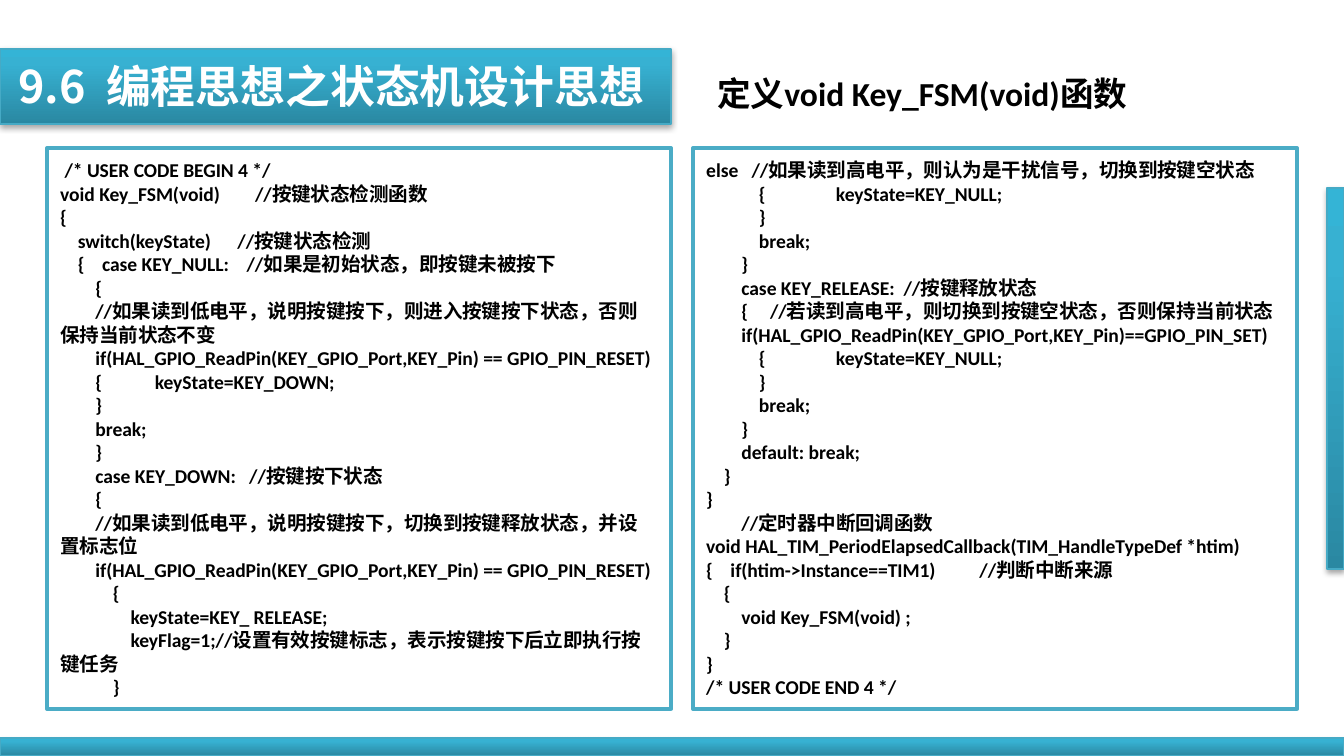
"""Builds the slide on state machine programming: two code panels under a title."""
from copy import deepcopy

from lxml.etree import SubElement
from pptx import Presentation
from pptx.dml.color import RGBColor
from pptx.enum.shapes import MSO_SHAPE
from pptx.enum.text import MSO_ANCHOR, PP_ALIGN
from pptx.oxml.ns import qn
from pptx.util import Emu, Pt

TITLE = "9.6  编程思想之状态机设计思想"
HEADING = "定义void Key_FSM(void)函数"
KEY_CODE = """ /* USER CODE BEGIN 4 */
void Key_FSM(void)        //按键状态检测函数
{
    switch(keyState)      //按键状态检测
    {    case KEY_NULL:    //如果是初始状态，即按键未被按下
        {
        //如果读到低电平，说明按键按下，则进入按键按下状态，否则保持当前状态不变
        if(HAL_GPIO_ReadPin(KEY_GPIO_Port,KEY_Pin) == GPIO_PIN_RESET)
        {            keyState=KEY_DOWN;
        }
        break;
        }
        case KEY_DOWN:   //按键按下状态
        {
        //如果读到低电平，说明按键按下，切换到按键释放状态，并设置标志位
        if(HAL_GPIO_ReadPin(KEY_GPIO_Port,KEY_Pin) == GPIO_PIN_RESET)
            {
                keyState=KEY_ RELEASE;
                keyFlag=1;//设置有效按键标志，表示按键按下后立即执行按键任务
            }"""
RELEASE_CODE = """else   //如果读到高电平，则认为是干扰信号，切换到按键空状态
            {                keyState=KEY_NULL;
            }
            break;
        }
        case KEY_RELEASE:  //按键释放状态
        {     //若读到高电平，则切换到按键空状态，否则保持当前状态
        if(HAL_GPIO_ReadPin(KEY_GPIO_Port,KEY_Pin)==GPIO_PIN_SET)
            {                keyState=KEY_NULL;
            }
            break;
        }
        default: break;
    }
}
        //定时器中断回调函数
void HAL_TIM_PeriodElapsedCallback(TIM_HandleTypeDef *htim)
{    if(htim->Instance==TIM1)\t //判断中断来源
    {
        void Key_FSM(void) ;
    }
}
/* USER CODE END 4 */"""

BARS = [(0, 738, 1344, 18), (1327, 188, 17, 381), (0, 49, 671, 75)]
PANELS = [(KEY_CODE, (47, 148, 624, 561)), (RELEASE_CODE, (693, 148, 604, 561))]
TITLE_BOX = (5, 52, 665, 67)
HEADING_BOX = (704, 56, 484, 60)

BLACK = RGBColor(0x00, 0x00, 0x00)
WHITE = RGBColor(0xFF, 0xFF, 0xFF)
PANEL_EDGE = RGBColor(0x4B, 0xAC, 0xC6)
BAR_EDGE = RGBColor(0x46, 0xAA, 0xC5)
BAR_STOPS = [
    (0, RGBColor(0x2A, 0x88, 0xA2)),
    (0.8, RGBColor(0x37, 0xB1, 0xD2)),
    (1, RGBColor(0x34, 0xB4, 0xD6)),
]
LATIN, CHINESE = "Calibri", "Noto Sans CJK SC"
PX = 914400 / 134.4


def place(box):
    return [Emu(round(length * PX)) for length in box]


def add_bar(slide, box):
    bar = slide.shapes.add_shape(MSO_SHAPE.RECTANGLE, *place(box))
    bar.fill.gradient()
    bar.fill.gradient_angle = 90
    stop_list = bar._element.spPr.find(".//" + qn("a:gsLst"))
    stop_list.append(deepcopy(stop_list[0]))
    for stop, (position, color) in zip(bar.fill.gradient_stops, BAR_STOPS):
        stop.position = position
        stop.color.rgb = color
    bar.line.color.rgb = BAR_EDGE
    bar.line.width = Pt(0.75)
    bar.shadow.inherit = False
    effects = bar._element.spPr.find(qn("a:effectLst"))
    shadow = SubElement(effects, qn("a:outerShdw"), blurRad="40000", dist="23000",
                        dir="5400000", rotWithShape="0")
    shade = SubElement(shadow, qn("a:srgbClr"), val="000000")
    SubElement(shade, qn("a:alpha"), val="35000")


def write(shape, text, size, font_name, color, anchor, wrap=True):
    frame = shape.text_frame
    frame.text = text
    frame.word_wrap = wrap
    frame.vertical_anchor = anchor
    for paragraph in frame.paragraphs:
        paragraph.alignment = PP_ALIGN.LEFT
        font = paragraph.font
        font.size, font.name, font.bold = Pt(size), font_name, True
        font.color.rgb = color
        for run in paragraph.runs:
            SubElement(run._r.get_or_add_rPr(), qn("a:ea"), typeface=CHINESE)


def add_panel(slide, code, box):
    panel = slide.shapes.add_shape(MSO_SHAPE.RECTANGLE, *place(box))
    panel.shadow.inherit = False
    panel.fill.solid()
    panel.fill.fore_color.rgb = WHITE
    panel.line.color.rgb = PANEL_EDGE
    panel.line.width = Pt(2)
    write(panel, code, 10.5, LATIN, BLACK, MSO_ANCHOR.MIDDLE)


def main():
    deck = Presentation()
    deck.slide_width, deck.slide_height = place((1344, 756))
    slide = deck.slides.add_slide(deck.slide_layouts[5])

    for box in BARS:
        add_bar(slide, box)

    title = slide.shapes.title
    title.left, title.top, title.width, title.height = place(TITLE_BOX)
    write(title, TITLE, 24, CHINESE, WHITE, MSO_ANCHOR.MIDDLE, wrap=False)
    slide.shapes._spTree.append(title._element)

    heading = slide.shapes.add_textbox(*place(HEADING_BOX))
    write(heading, HEADING, 18, LATIN, BLACK, MSO_ANCHOR.TOP)
    heading.text_frame.paragraphs[0].line_spacing = 1.25

    for code, box in PANELS:
        add_panel(slide, code, box)

    deck.save("out.pptx")


if __name__ == "__main__":
    main()
